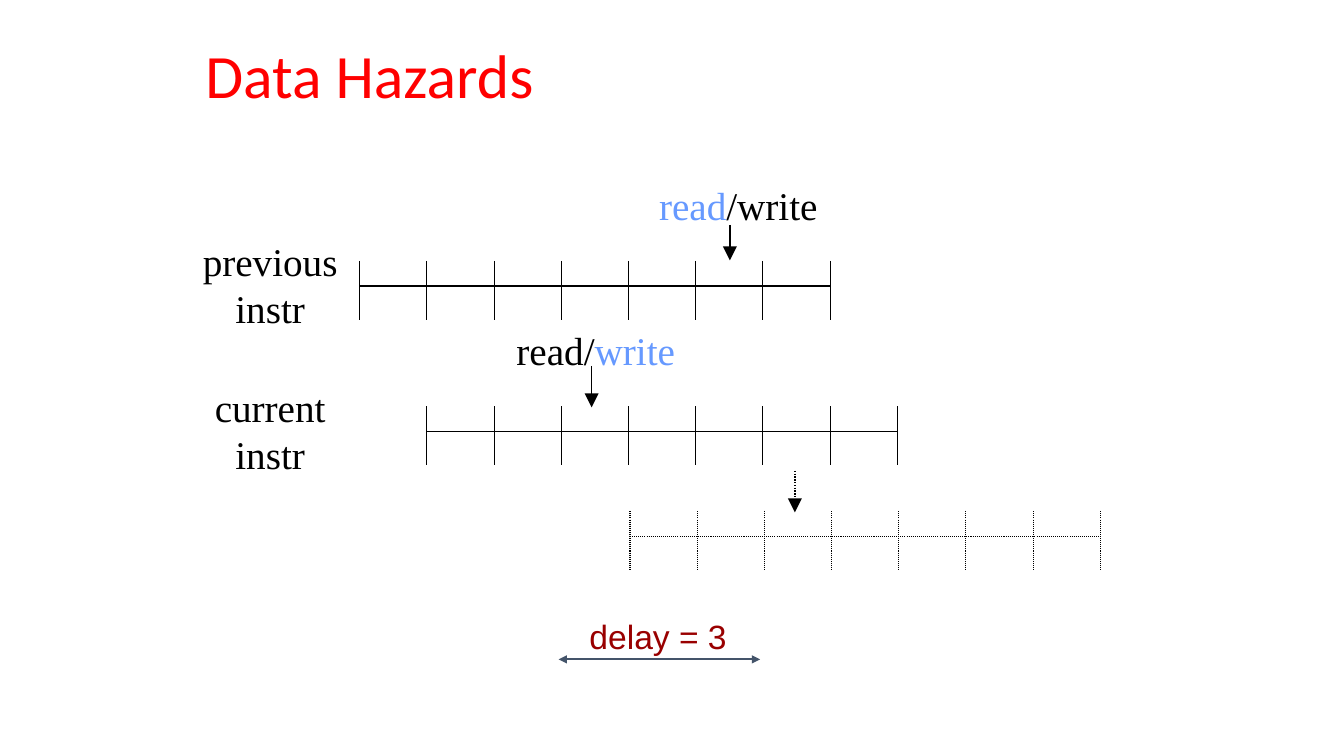
from pptx import Presentation
from pptx.dml.color import RGBColor
from pptx.enum.dml import MSO_LINE
from pptx.enum.shapes import MSO_CONNECTOR
from pptx.enum.text import MSO_ANCHOR, MSO_AUTO_SIZE, PP_ALIGN
from pptx.oxml.ns import qn
from pptx.util import Pt
from lxml import etree

STRAIGHT = MSO_CONNECTOR.STRAIGHT
DOTTED = MSO_LINE.ROUND_DOT
LEFT, CENTER = PP_ALIGN.LEFT, PP_ALIGN.CENTER
MIDDLE = MSO_ANCHOR.MIDDLE
NO_FIT, GROW = MSO_AUTO_SIZE.NONE, MSO_AUTO_SIZE.SHAPE_TO_FIT_TEXT

COLORS = {"title": "FF0000", "ink": "000000", "accent": "6699FF",
          "delay": "990000", "span": "44546A"}
STAGES = 7
STAGE_W, TICK_H, AXIS_DROP = 48, 42, 18


def add_line(x1, y1, x2, y2, width=0.75, color="ink", dash=None, ends=(), head="med"):
    """Draw a line; ends lists the arrowhead elements, headEnd before tailEnd."""
    c = s.shapes.add_connector(STRAIGHT, Pt(x1), Pt(y1), Pt(x2), Pt(y2))
    c.line.width = Pt(width)
    c.line.color.rgb = RGBColor.from_string(COLORS[color])
    if dash:
        c.line.dash_style = dash
    ln = c._element.spPr.find(qn("a:ln"))
    for end in ends:
        etree.SubElement(ln, qn("a:" + end), {"type": "triangle", "w": head, "len": head})
    etree.SubElement(c._element.spPr, qn("a:effectLst"))


def fill_text(tf, paragraphs, font, size, align):
    """Write paragraphs, each a list of (text, color name) runs."""
    for i, runs in enumerate(paragraphs):
        p = tf.add_paragraph() if i else tf.paragraphs[0]
        p.alignment = align
        for text, color in runs:
            r = p.add_run()
            r.text = text
            for name, value in {"name": font, "size": Pt(size)}.items():
                setattr(r.font, name, value)
            r.font.color.rgb = RGBColor.from_string(COLORS[color])


prs = Presentation()
prs.slide_width, prs.slide_height = Pt(960), Pt(540)
s = prs.slides.add_slide(prs.slide_layouts[5])

# Title
title = s.shapes.title
for name, value in {"left": 139.5, "top": 11, "width": 678, "height": 90}.items():
    setattr(title, name, Pt(value))
tf = title.text_frame
for name, value in {"auto_size": NO_FIT, "vertical_anchor": MIDDLE}.items():
    setattr(tf, name, value)
fill_text(tf, [[("Data Hazards", "title")]], "Calibri", 44, LEFT)
tf.paragraphs[0].line_spacing = 0.9

# Pipelines: previous, current and delayed instruction
for left, top, dash in [(257, 186.3, None), (305, 290.3, None), (450, 365.2, DOTTED)]:
    axis = top + AXIS_DROP
    add_line(left, axis, left + STAGES * STAGE_W, axis, dash=dash)
    for i in range(STAGES + 1):
        x = left + i * STAGE_W
        add_line(x, top, x, top + TICK_H, dash=dash)

# Access points
for x, top, bottom, dash in [(521.4, 160.6, 186, None), (422.6, 261.4, 291, None),
                             (567.8, 336.4, 366, DOTTED)]:
    add_line(x, top, x, bottom, 1, dash=dash, ends=["tailEnd"], head="lg")

# Delay span
add_line(399, 471, 543, 471, 1.5, "span", ends=["headEnd", "tailEnd"])

# Labels
SERIF = ("Times New Roman", 28, CENTER)
labels = [
    (137.5, 166, 111, 74, [[("previous", "ink")], [("instr", "ink")]], SERIF),
    (146, 270.3, 94, 74, [[("current", "ink")], [("instr", "ink")]], SERIF),
    (463.4, 126, 128, 41, [[("read", "accent"), ("/write", "ink")]], SERIF),
    (361.6, 229.4, 128, 41, [[("read/", "ink"), ("write", "accent")]], SERIF),
    (414, 436.4, 116, 36, [[("delay = 3", "delay")]], ("Arial", 24, LEFT)),
]
for left, top, width, height, paragraphs, style in labels:
    tf = s.shapes.add_textbox(Pt(left), Pt(top), Pt(width), Pt(height)).text_frame
    for name, value in {"word_wrap": False, "auto_size": GROW}.items():
        setattr(tf, name, value)
    fill_text(tf, paragraphs, *style)

prs.save("out.pptx")
